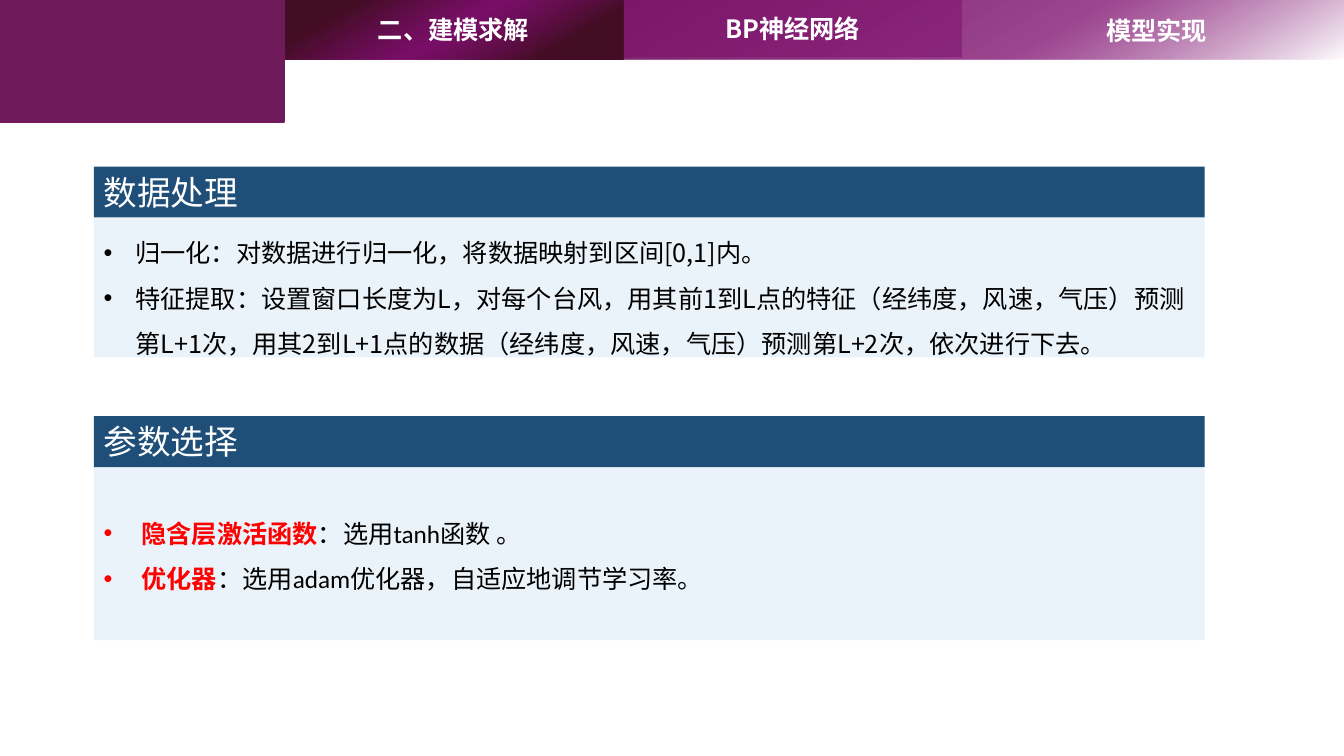
from pptx import Presentation
from pptx.dml.color import RGBColor
from pptx.enum.shapes import MSO_SHAPE
from pptx.enum.text import MSO_ANCHOR, PP_ALIGN
from pptx.oxml import parse_xml
from pptx.oxml.ns import nsdecls, qn
from pptx.util import Pt
from lxml import etree

RECT = MSO_SHAPE.RECTANGLE
TOP, MIDDLE = MSO_ANCHOR.TOP, MSO_ANCHOR.MIDDLE
LEFT, CENTER = PP_ALIGN.LEFT, PP_ALIGN.CENTER

THEME = dict(
    plum="6F1A5B", magenta="7E0C6E", wine="440E25", navy="1F4E79", sky="9DC3E6",
    white="FFFFFF", black="000000", red="FF0000",
    latin="Calibri", cjk="Noto Sans CJK SC", title=24, body=18,
)


def add_box(s, box, stops, angle=0):
    """Add a rectangle filled from (position, colour, alpha) stops; one stop is a solid fill."""
    sp = s.shapes.add_shape(RECT, *[Pt(v) for v in box])
    sp.shadow.inherit = False
    sp.line.fill.background()
    colours = [f'<a:srgbClr val="{THEME[name]}"><a:alpha val="{alpha * 1000}"/></a:srgbClr>'
               for _, name, alpha in stops]
    if len(stops) == 1:
        xml = f'<a:solidFill {nsdecls("a")}>{colours[0]}</a:solidFill>'
    else:
        gs = "".join(f'<a:gs pos="{stop[0] * 1000}">{colour}</a:gs>'
                     for stop, colour in zip(stops, colours))
        xml = (f'<a:gradFill {nsdecls("a")} rotWithShape="1"><a:gsLst>{gs}</a:gsLst>'
               f'<a:lin ang="{angle * 60000}" scaled="0"/></a:gradFill>')
    sp.element.spPr.find(qn("a:prstGeom")).addnext(parse_xml(xml))
    return sp


def write(sp, paragraphs, size, font, anchor=TOP, align=LEFT, indent=0, top=3.6):
    """Fill a shape with paragraphs of (text, colour, bold) runs; an indent adds bullets."""
    tf = sp.text_frame
    frame = dict(word_wrap=True, vertical_anchor=anchor, margin_top=Pt(top))
    for name, value in frame.items():
        setattr(tf, name, value)
    for i, runs in enumerate(paragraphs):
        p = tf.paragraphs[0] if i == 0 else tf.add_paragraph()
        p.alignment = align
        if indent:
            p.line_spacing = 1.5
            pPr = p._p.get_or_add_pPr()
            pPr.set("marL", str(Pt(indent)))
            pPr.set("indent", str(-Pt(indent)))
            etree.SubElement(pPr, qn("a:buFont")).set("typeface", "Arial")
            etree.SubElement(pPr, qn("a:buChar")).set("char", "•")
        for text, colour, bold in runs:
            r = p.add_run()
            r.text = text
            for name, value in dict(size=Pt(size), name=font, bold=bold).items():
                setattr(r.font, name, value)
            r.font.color.rgb = RGBColor.from_string(THEME[colour])
            ea = etree.SubElement(r._r.get_or_add_rPr(), qn("a:ea"))
            ea.set("typeface", THEME["cjk"])


prs = Presentation()
prs.slide_width, prs.slide_height = Pt(960), Pt(540)
s = prs.slides.add_slide(prs.slide_layouts[6])

# Content panels: top, title, body height, font, indent, top margin, paragraphs
panels = [
    (119, "数据处理", 100, THEME["cjk"], 22.5, 3.6, [
        [("归一化：对数据进行归一化，将数据映射到区间[0,1]内。", "black", False)],
        [("特征提取：设置窗口长度为L，对每个台风，用其前1到L点的特征（经纬度，风速，气压）"
          "预测第L+1次，用其2到L+1点的数据（经纬度，风速，气压）预测第L+2次，依次进行下去。",
          "black", False)],
    ]),
    (297.3, "参数选择", 123.6, THEME["latin"], 27, 25.6, [
        [("隐含层激活函数", "red", True), ("：选用tanh函数 。", "black", False)],
        [("优化器", "red", True), ("：选用adam优化器，自适应地调节学习率。", "black", False)],
    ]),
]
PANEL_LEFT, PANEL_WIDTH, TITLE_HEIGHT = 67, 793.5, 36.3
for top, title, height, font, indent, margin, paragraphs in panels:
    heading = add_box(s, (PANEL_LEFT, top, PANEL_WIDTH, TITLE_HEIGHT), [(0, "navy", 100)])
    write(heading, [[(title, "white", False)]], THEME["title"], THEME["latin"])
    body = add_box(s, (PANEL_LEFT, top + TITLE_HEIGHT, PANEL_WIDTH, height), [(0, "sky", 20)])
    write(body, paragraphs, THEME["body"], font, indent=indent, top=margin)

# Navigation bar
BAR_LEFT, TAB_WIDTH, BAR_HEIGHT = 203, 242, 42.5
add_box(s, (BAR_LEFT, 0, 960 - BAR_LEFT, BAR_HEIGHT),
        [(0, "white", 100), (29, "magenta", 76), (82, "plum", 100)], 240)
method_tab = add_box(s, (BAR_LEFT + TAB_WIDTH, 0, TAB_WIDTH, 41), [(0, "magenta", 50)])
section_tab = add_box(s, (BAR_LEFT, 0, TAB_WIDTH, BAR_HEIGHT),
                      [(20, "wine", 100), (50, "magenta", 76), (82, "wine", 100)], 240)
corner = add_box(s, (0, 0, BAR_LEFT, 87.3), [(0, "plum", 100)])
corner.line.color.rgb = RGBColor.from_string(THEME["plum"])
corner.line.width = Pt(1)
topic = s.shapes.add_textbox(Pt(692.6), Pt(1), Pt(267), Pt(41))

for sp, label in ((method_tab, "BP神经网络"), (section_tab, "二、建模求解"), (topic, "模型实现")):
    write(sp, [[(label, "white", True)]], THEME["body"], THEME["cjk"], MIDDLE, CENTER)

prs.save("out.pptx")
